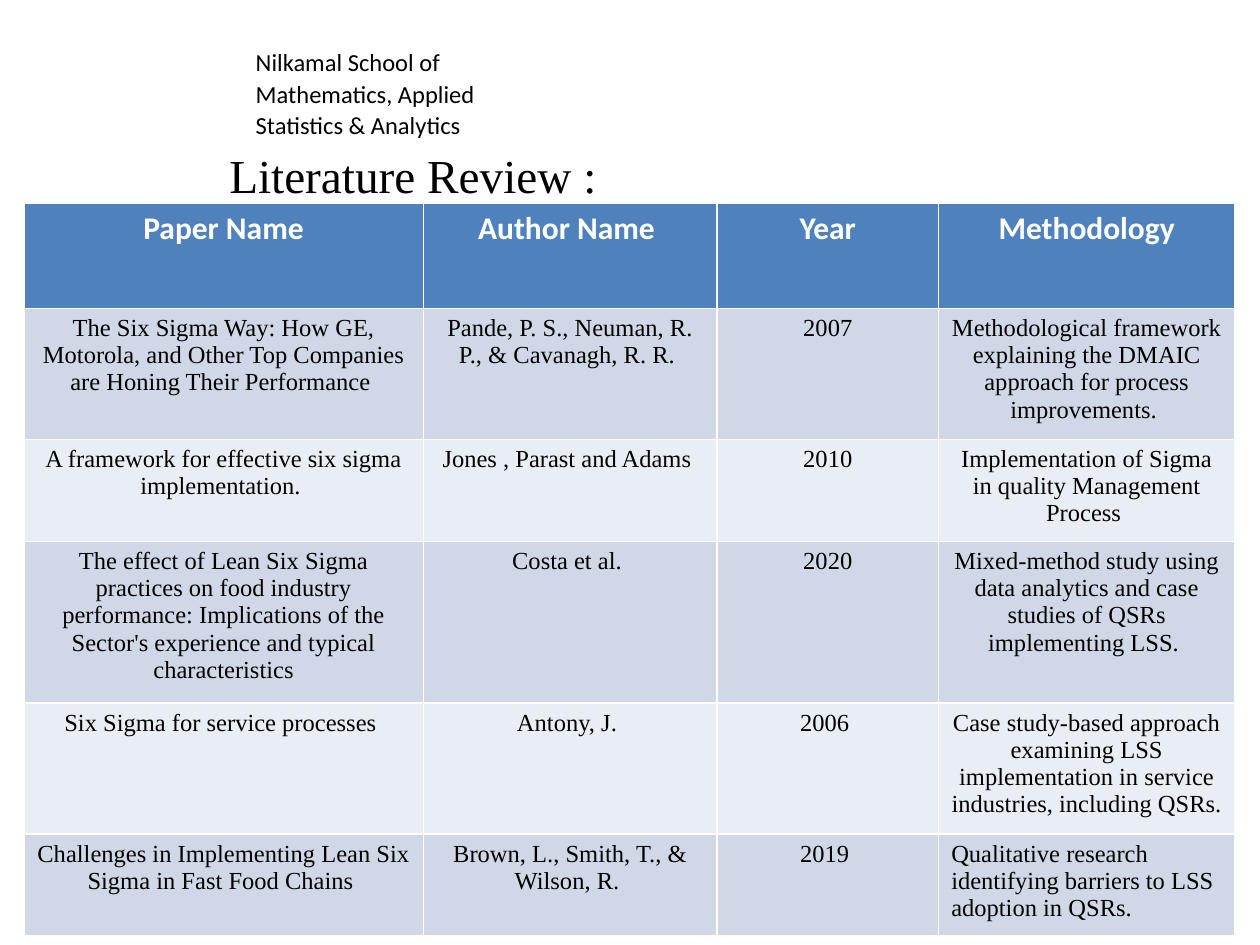
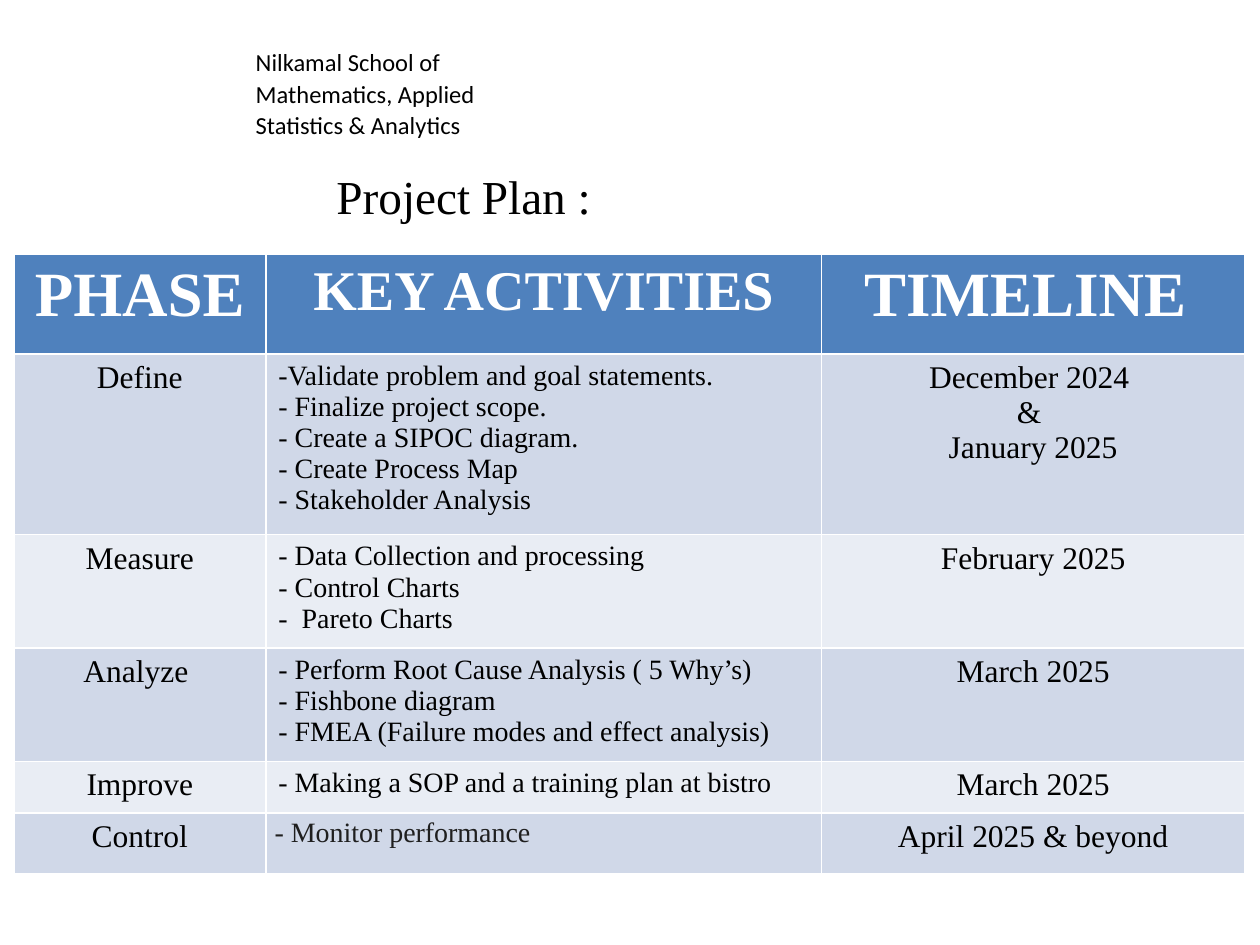
from dataclasses import dataclass

from pptx import Presentation
from pptx.dml.color import RGBColor as Rgb
from pptx.enum.text import PP_ALIGN as Align
from pptx.util import Inches, Pt


@dataclass(frozen=True)
class Theme:
    sans: str = "Calibri"
    serif: str = "Times New Roman"
    ink: str = "000000"
    soft: str = "1F1F1F"
    white: str = "FFFFFF"
    head: str = "4F81BD"
    bands: tuple = ("D0D8E8", "E9EDF4")
    title: int = 27
    school: int = 14


THEME = Theme()
SCHOOL = "Nilkamal School of Mathematics, Applied Statistics & Analytics"
SCHOOL_BOX = (2.03, 0.35, 1.84, 0.76)

# "left" lists the (row, column) cells that are not centred.
REVIEW = {
    "title": "Literature Review :",
    "title_box": (1.82, 1.15, 5.4, 0.45),
    "at": (0.19, 1.61),
    "cols": (3.17, 2.33, 1.76, 2.35),
    "heights": (0.84, 1.04, 0.81, 1.28, 1.04, 0.81),
    "head_font": THEME.sans,
    "head_sizes": (18, 18, 18, 18),
    "body_sizes": (14, 14, 14, 14),
    "left": {(5, 3)},
    "rows": [
        ("Paper Name", "Author Name ", "Year", "Methodology"),
        ("The Six Sigma Way: How GE, Motorola, and Other Top Companies "
         "are Honing Their Performance ",
         "Pande, P. S., Neuman, R. P., & Cavanagh, R. R. ", "2007",
         "Methodological framework explaining the DMAIC approach for "
         "process improvements. "),
        ("A framework for effective six sigma implementation. ",
         "Jones , Parast and Adams ", "2010",
         "Implementation of Sigma in quality Management Process "),
        ("The effect of Lean Six Sigma practices on food industry "
         "performance: Implications of the Sector's experience and "
         "typical characteristics",
         "Costa et al. ", "2020",
         "Mixed-method study using data analytics and case studies of "
         "QSRs implementing LSS. "),
        ("Six Sigma for service processes ", "Antony, J. ", "2006 ",
         "Case study-based approach examining LSS implementation in "
         "service industries, including QSRs. "),
        ("Challenges in Implementing Lean Six Sigma in Fast Food Chains ",
         "Brown, L., Smith, T., & Wilson, R. ", "2019 ",
         "Qualitative research identifying barriers to LSS adoption in "
         "QSRs."),
    ],
}

PLAN = {
    "title": "Project Plan :",
    "title_box": (2.67, 1.32, 3.18, 0.47),
    "at": (0.11, 2.02),
    "cols": (2, 4.41, 3.36),
    "heights": (0.79, 1.23, 0.74, 0.79, 0.41, 0.48),
    "head_font": THEME.serif,
    "head_sizes": (36, 32, 36),
    "body_sizes": (18, 16, 18),
    "left": {(row, 1) for row in range(1, 6)},
    "rows": [
        ("PHASE", "KEY ACTIVITIES", "TIMELINE "),
        ("Define",
         "-Validate problem and goal statements.\n"
         "- Finalize project scope.\n"
         "- Create a SIPOC diagram.\n"
         "- Create Process Map\n"
         "- Stakeholder Analysis",
         "December 2024 \n& \nJanuary 2025"),
        ("Measure",
         "- Data Collection and processing \n"
         "- Control Charts\n"
         "-  Pareto Charts",
         "February 2025"),
        ("Analyze ",
         "- Perform Root Cause Analysis ( 5 Why’s)\n"
         "- Fishbone diagram\n"
         "- FMEA (Failure modes and effect analysis)",
         "March 2025"),
        ("Improve", "- Making a SOP and a training plan at bistro",
         "March 2025"),
        ("Control", "- Monitor performance", "April 2025 & beyond"),
    ],
}


def style(frame, font, size, color, bold=False, align=Align.LEFT):
    for para in frame.paragraphs:
        para.alignment = align
        for run in para.runs:
            run.font.name = font
            run.font.size = Pt(size)
            run.font.bold = bold
            run.font.color.rgb = Rgb.from_string(color)


def inset(item, left, top, right, bottom):
    item.margin_left, item.margin_top = Inches(left), Inches(top)
    item.margin_right, item.margin_bottom = Inches(right), Inches(bottom)


def add_text(slide, text, box, font, size):
    frame = slide.shapes.add_textbox(*map(Inches, box)).text_frame
    frame.word_wrap = True
    inset(frame, 0, 0.01, 0, 0)
    frame.text = text
    style(frame, font, size, THEME.ink)
    return frame


def add_grid(slide, data):
    cols, heights = data["cols"], data["heights"]
    table = slide.shapes.add_table(
        len(heights), len(cols), *map(Inches, data["at"]),
        Inches(sum(cols)), Inches(sum(heights))).table
    for col, width in zip(table.columns, cols):
        col.width = Inches(width)
    for row, height in zip(table.rows, heights):
        row.height = Inches(height)
    for r, texts in enumerate(data["rows"]):
        head = r == 0
        fill = THEME.head if head else THEME.bands[(r - 1) % 2]
        font = data["head_font"] if head else THEME.serif
        sizes = data["head_sizes"] if head else data["body_sizes"]
        color = THEME.white if head else THEME.ink
        for c, text in enumerate(texts):
            cell = table.cell(r, c)
            cell.fill.solid()
            cell.fill.fore_color.rgb = Rgb.from_string(fill)
            cell.text_frame.text = text
            align = Align.LEFT if (r, c) in data["left"] else Align.CENTER
            style(cell.text_frame, font, sizes[c], color, head, align)
    return table


def add_page(deck, data):
    slide = deck.slides.add_slide(deck.slide_layouts[6])
    add_text(slide, data["title"], data["title_box"],
             THEME.serif, THEME.title)
    table = add_grid(slide, data)
    school = add_text(slide, SCHOOL, SCHOOL_BOX, THEME.sans, THEME.school)
    school.paragraphs[0].line_spacing = 1.07
    return table


def main():
    deck = Presentation()
    deck.slide_width, deck.slide_height = Inches(10), Inches(7.5)
    add_page(deck, REVIEW)
    plan = add_page(deck, PLAN)
    last = plan.cell(5, 1)
    inset(last, 0.07, 0, 0.07, 0)
    last.text_frame.paragraphs[0].line_spacing = 1.15
    style(last.text_frame, THEME.serif, 16, THEME.soft)
    deck.save("out.pptx")


if __name__ == "__main__":
    main()
